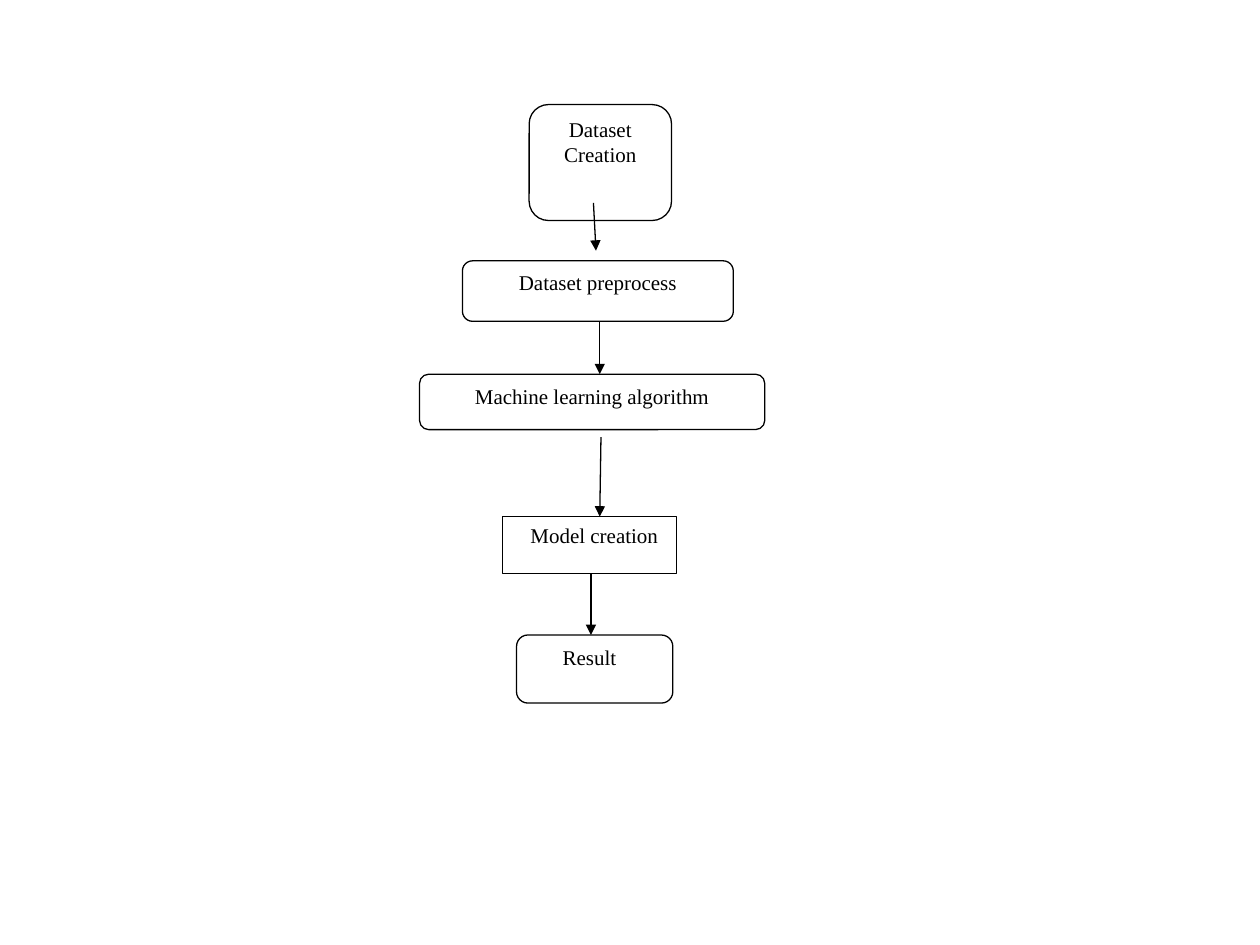
import pptx
import pptx.util
import pptx.dml.color
import pptx.enum.shapes
import pptx.enum.text
import pptx.oxml.ns
import lxml.etree

PX = 9144
SHAPE = pptx.enum.shapes.MSO_SHAPE
ALIGN = pptx.enum.text.PP_ALIGN


def color(value):
    return pptx.dml.color.RGBColor.from_string(value)


def apply(target, values):
    for name, value in values.items():
        setattr(target, name, value)


class Flowchart:
    ink = "000000"
    paper = "FFFFFF"
    line_width = pptx.util.Pt(0.75)
    font = {"name": "Times New Roman", "size": pptx.util.Pt(12)}
    frame = {"word_wrap": True, "vertical_anchor": pptx.enum.text.MSO_ANCHOR.TOP}

    def __init__(self, slide):
        self.slide = slide

    def outline(self, line):
        line.color.rgb = color(self.ink)
        line.width = self.line_width

    def box(self, text, left, top, width, height, shape=SHAPE.ROUNDED_RECTANGLE,
            align=ALIGN.CENTER, inset=10):
        sp = self.slide.shapes.add_shape(
            shape, *(v * PX for v in (left, top, width, height)))
        sp.shadow.inherit = False
        sp.fill.solid()
        sp.fill.fore_color.rgb = color(self.paper)
        self.outline(sp.line)
        tf = sp.text_frame
        apply(tf, self.frame)
        tf.margin_left = inset * PX
        p = tf.paragraphs[0]
        p.alignment = align
        r = p.add_run()
        r.text = text
        apply(r.font, self.font)
        r.font.color.rgb = color(self.ink)

    def arrow(self, x1, y1, x2, y2):
        cx = self.slide.shapes.add_connector(
            pptx.enum.shapes.MSO_CONNECTOR.STRAIGHT,
            *(v * PX for v in (x1, y1, x2, y2)))
        self.outline(cx.line)
        qn = pptx.oxml.ns.qn
        ln = cx.line._get_or_add_ln()
        lxml.etree.SubElement(ln, qn("a:tailEnd"), type="triangle")
        lxml.etree.SubElement(cx._element.spPr, qn("a:effectLst"))


def main():
    prs = pptx.Presentation()
    prs.slide_width, prs.slide_height = 1000 * PX, 750 * PX
    chart = Flowchart(prs.slides.add_slide(prs.slide_layouts[6]))

    chart.box("Dataset Creation", 420, 83, 113, 92)
    chart.box("Dataset preprocess", 367, 207, 215, 48)
    chart.box("Machine learning algorithm", 333, 297, 274, 44)
    chart.box("Model creation", 399, 410, 138, 45,
              shape=SHAPE.RECTANGLE, align=ALIGN.LEFT, inset=22)
    chart.box("Result", 410, 504, 124, 54, align=ALIGN.LEFT, inset=34)

    for ends in (
        (471, 161, 473, 199),
        (476, 255, 476, 297),
        (477, 347, 476, 410),
        (469, 455, 469, 504),
    ):
        chart.arrow(*ends)

    prs.save("out.pptx")


if __name__ == "__main__":
    main()
